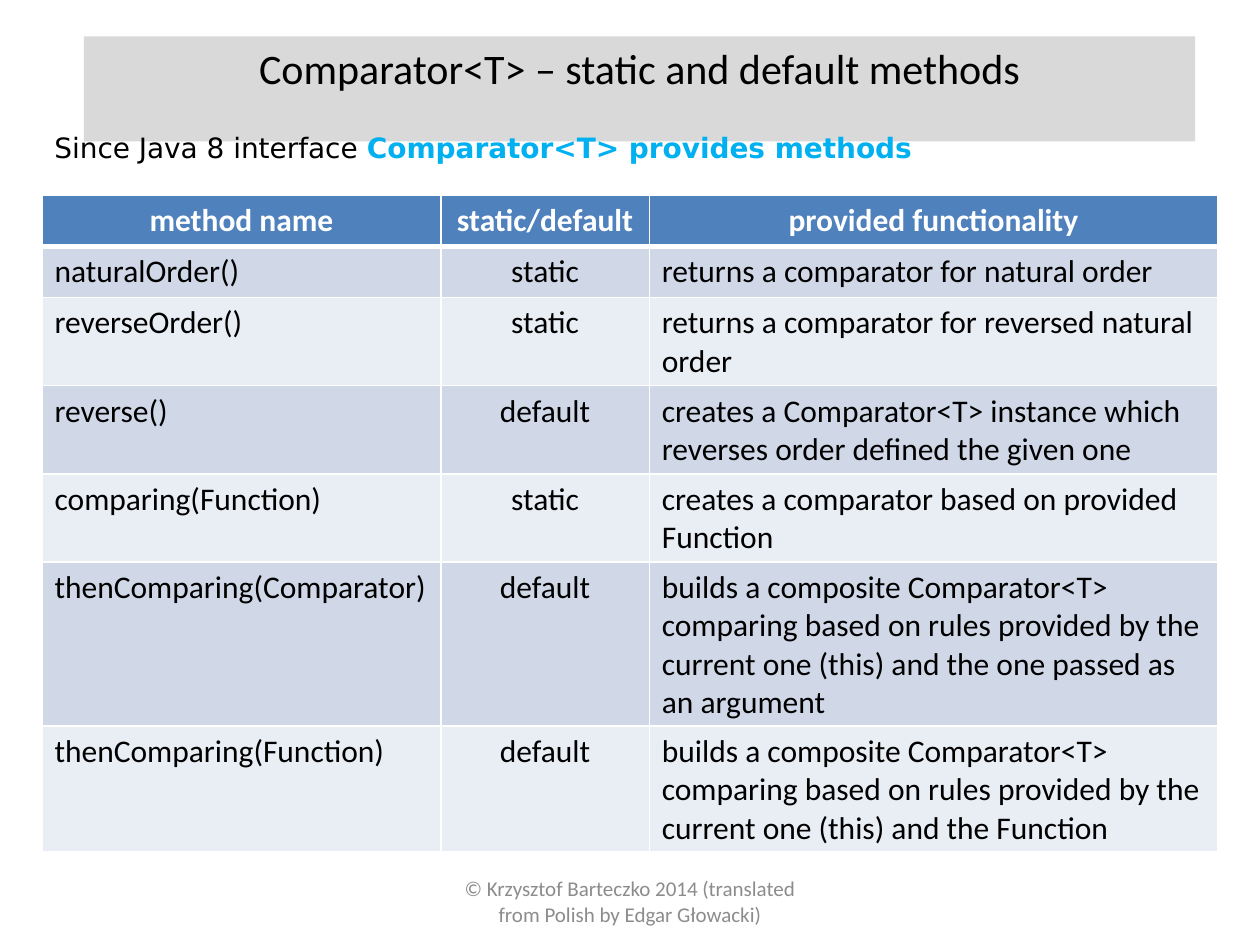
"""Build a slide listing the static and default methods of Comparator<T>."""
from lxml.etree import SubElement
from pptx import Presentation
from pptx.dml.color import RGBColor
from pptx.enum.text import MSO_ANCHOR, MSO_AUTO_SIZE, PP_ALIGN
from pptx.oxml import parse_xml
from pptx.oxml.ns import nsdecls, qn
from pptx.util import Pt

BLACK = RGBColor(0, 0, 0)
WHITE = RGBColor(255, 255, 255)
GREY_TEXT = RGBColor(0x8C, 0x8C, 0x8C)
TITLE_FILL = RGBColor(0xD9, 0xD9, 0xD9)
ACCENT = RGBColor(0x00, 0xB0, 0xF0)
HEADER_FILL = RGBColor(0x4F, 0x81, 0xBD)
BAND_FILLS = (RGBColor(0xE9, 0xED, 0xF4), RGBColor(0xD0, 0xD8, 0xE8))

TITLE = "Comparator<T> – static and default methods"
INTRO = (
    ("Since Java 8 interface ", BLACK, False),
    ("Comparator<T> provides methods", ACCENT, True),
)
METHODS = (
    ("method name", "static/default", "provided functionality"),
    ("naturalOrder()", "static", "returns a comparator for natural order"),
    ("reverseOrder()", "static", "returns a comparator for reversed natural order"),
    ("reverse()", "default",
     "creates a Comparator<T> instance which reverses order defined the given one"),
    ("comparing(Function)", "static",
     "creates a comparator based on provided Function"),
    ("thenComparing(Comparator)", "default",
     "builds a composite Comparator<T> comparing based on rules provided by the "
     "current one (this) and the one passed as an argument"),
    ("thenComparing(Function)", "default",
     "builds a composite Comparator<T> comparing based on rules provided by the "
     "current one (this) and the Function"),
)
FOOTER = "© Krzysztof Barteczko 2014 (translated from Polish by Edgar Głowacki)"

LEFT, WIDTH = 24, 672
COLUMN_WIDTHS = (228, 119, 325)
ROW_HEIGHT = 29.2


def format_run(run, size, color, bold=False, font="Calibri"):
    run.font.name = font
    run.font.size = Pt(size)
    run.font.bold = bold
    run.font.color.rgb = color


def add_text_box(slide, left, top, width, height):
    text_box = slide.shapes.add_textbox(Pt(left), Pt(top), Pt(width), Pt(height))
    text_box.text_frame.word_wrap = True
    return text_box.text_frame


def set_borders(cell, top, bottom):
    properties = cell._tc.get_or_add_tcPr()
    widths = (("lnL", 1), ("lnR", 1), ("lnT", top), ("lnB", bottom))
    for position, (side, width) in enumerate(widths):
        line = parse_xml(f'<a:{side} {nsdecls("a")} w="{Pt(width)}"/>')
        fill = SubElement(line, qn("a:solidFill"))
        SubElement(fill, qn("a:srgbClr"), val=str(WHITE))
        properties.insert(position, line)


def add_title(slide):
    title = slide.shapes.title
    title.left, title.top, title.width, title.height = Pt(48), Pt(20.8), Pt(635), Pt(36)
    title.fill.solid()
    title.fill.fore_color.rgb = TITLE_FILL
    frame = title.text_frame
    frame.text = TITLE
    frame.vertical_anchor = MSO_ANCHOR.TOP
    frame.auto_size = MSO_AUTO_SIZE.SHAPE_TO_FIT_TEXT
    frame.paragraphs[0].alignment = PP_ALIGN.CENTER
    format_run(frame.paragraphs[0].runs[0], 24, BLACK)


def add_intro(slide):
    paragraph = add_text_box(slide, LEFT, 71.3, WIDTH, 26.6).paragraphs[0]
    for text, color, bold in INTRO:
        run = paragraph.add_run()
        run.text = text
        format_run(run, 16, color, bold, "DejaVu Sans")


def add_method_table(slide):
    table = slide.shapes.add_table(
        len(METHODS), len(COLUMN_WIDTHS), Pt(LEFT), Pt(111.6),
        Pt(WIDTH), Pt(ROW_HEIGHT * len(METHODS))).table
    for column, width in zip(table.columns, COLUMN_WIDTHS):
        column.width = Pt(width)
    for row_index, texts in enumerate(METHODS):
        table.rows[row_index].height = Pt(ROW_HEIGHT)
        header = row_index == 0
        for column_index, text in enumerate(texts):
            cell = table.cell(row_index, column_index)
            cell.text = text
            cell.fill.solid()
            cell.fill.fore_color.rgb = HEADER_FILL if header else BAND_FILLS[row_index % 2]
            set_borders(cell, 3 if row_index == 1 else 1, 3 if header else 1)
            paragraph = cell.text_frame.paragraphs[0]
            centred = header or column_index == 1
            paragraph.alignment = PP_ALIGN.CENTER if centred else PP_ALIGN.LEFT
            format_run(paragraph.runs[0], 18, WHITE if header else BLACK, header)


def add_footer(slide):
    frame = add_text_box(slide, 246, 500.5, 228, 28.8)
    frame.text = FOOTER
    frame.vertical_anchor = MSO_ANCHOR.MIDDLE
    frame.paragraphs[0].alignment = PP_ALIGN.CENTER
    format_run(frame.paragraphs[0].runs[0], 12, GREY_TEXT)


def main():
    presentation = Presentation()
    presentation.slide_width, presentation.slide_height = Pt(720), Pt(540)
    slide = presentation.slides.add_slide(presentation.slide_layouts[5])
    add_footer(slide)
    add_title(slide)
    add_intro(slide)
    add_method_table(slide)
    presentation.save("out.pptx")


if __name__ == "__main__":
    main()
